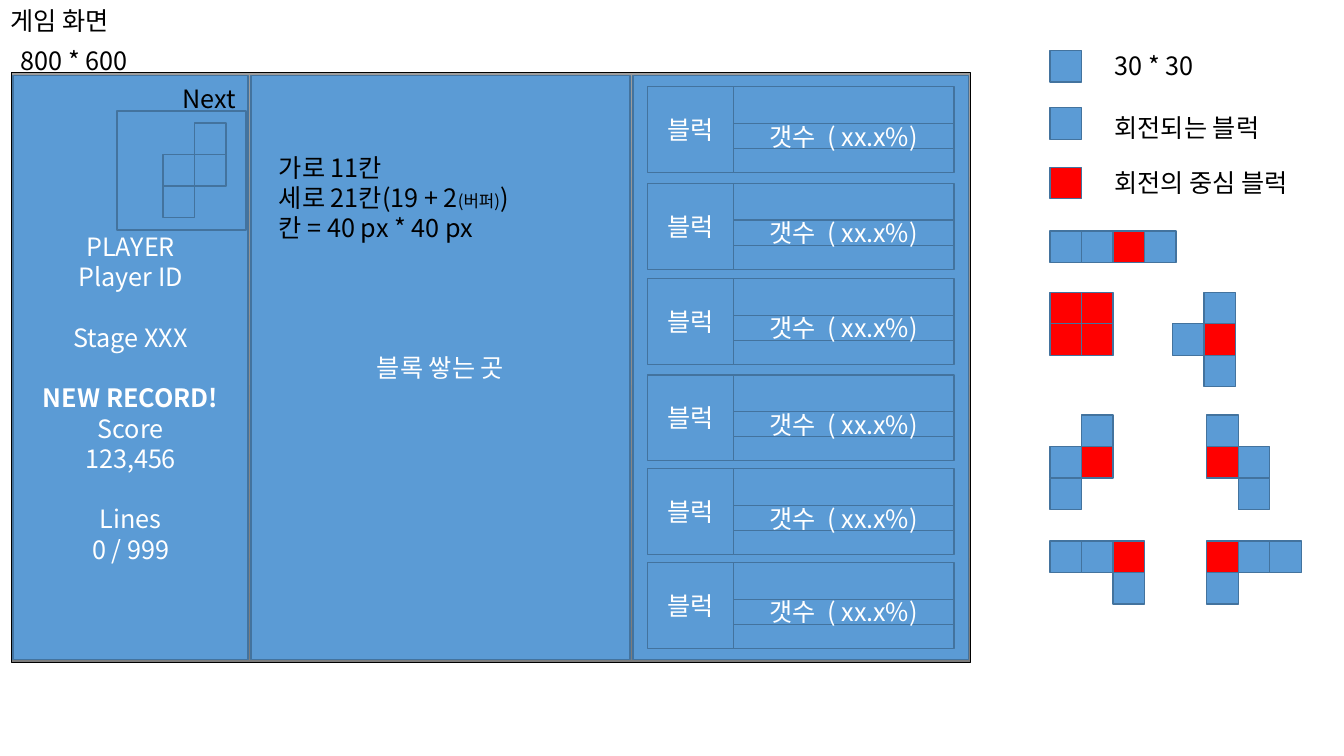
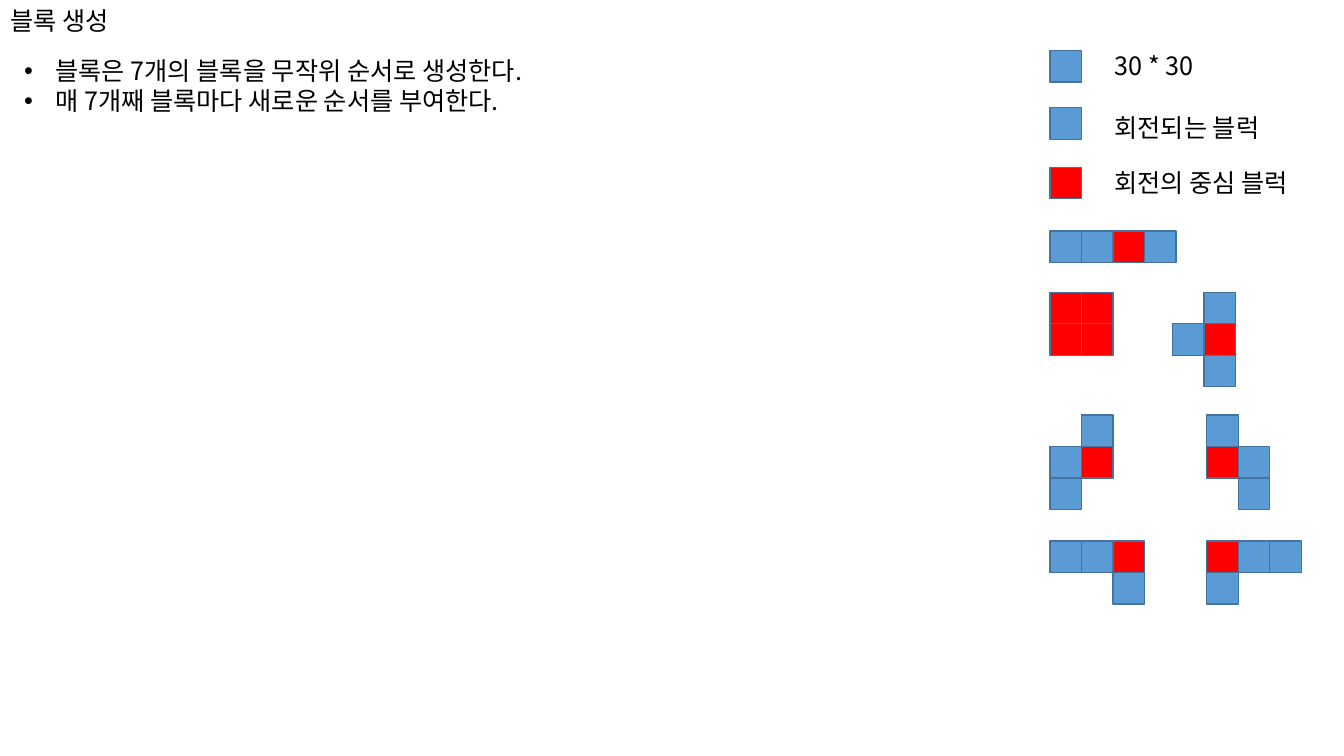
from pptx import Presentation
from pptx.dml.color import RGBColor
from pptx.enum.shapes import MSO_SHAPE
from pptx.enum.text import MSO_ANCHOR, MSO_AUTO_SIZE, PP_ALIGN
from pptx.oxml.ns import qn
from pptx.util import Pt
from lxml.etree import SubElement

BLUE = RGBColor(0x5B, 0x9B, 0xD5)
EDGE = RGBColor(0x43, 0x73, 0x9E)
RED = RGBColor(0xFF, 0x00, 0x00)
BLACK = RGBColor(0x00, 0x00, 0x00)
WHITE = RGBColor(0xFF, 0xFF, 0xFF)
LIGHT_GRAY = RGBColor(0x9D, 0x9D, 0x9D)
DARK_GRAY = RGBColor(0x7C, 0x7C, 0x7C)

FONT = "Noto Sans CJK KR"
SIZE, SMALL = 18, 12
LINE = 21.6
CELL = 22.5
CELL_COLORS = {"B": BLUE, "R": RED}

TITLES = ["게임 화면", "블록 생성"]
RULES = ["블록은 7개의 블록을 무작위 순서로 생성한다.",
         "매 7개째 블록마다 새로운 순서를 부여한다."]

# Legend: cell kind, cell top, label, label top, label width
LEGEND_LEFT, LABEL_LEFT = 750, 789
LEGEND = [("B", 36, "30 * 30", 32.4, 75),
          ("B", 77, "회전되는 블럭", 77, 130),
          ("R", 119.5, "회전의 중심 블럭", 116, 155)]

# Pieces: left, top, rows of cells (R is the centre of rotation)
PIECES = [(750, 165, ["BBRB"]),
          (750, 208.8, ["RR", "RR"]),
          (837.5, 208.8, [" B", "BR", " B"]),
          (750, 296.6, [" B", "BR", "B"]),
          (862, 296.6, ["B", "RB", " B"]),
          (750, 386.6, ["BBR", "  B"]),
          (862, 386.6, ["RBB", "B"])]
NEXT_PIECE = (116.6, 87.8, [" B", "BB", "B"])

BOARD = (7.9, 51.8, 685.4, 421.2)
PANEL_TOP, PANEL_HEIGHT = 54, 417
STATUS_PANEL, FIELD_PANEL, COUNT_PANEL = [
    (left, PANEL_TOP, width, PANEL_HEIGHT)
    for left, width in [(9.4, 167.8), (179.3, 270.7), (452.2, 239.8)]]
NEXT_FRAME = (83.5, 79.2, 92.2, 85)

# Status groups stand one line apart
STATUS = [["PLAYER", "Player ID"], ["Stage XXX"],
          ["NEW RECORD!", "Score", "123,456"], ["Lines", "0 / 999"]]
BOLD_STATUS = "NEW RECORD!"
FIELD_NOTES = [["가로 11칸"],
               ["세로 21칸(19 + 2", ("(버퍼)", SMALL), ")"],
               ["칸 = 40 px * 40 px"]]
COUNT_TOPS = [62, 131, 199, 267.8, 334.8, 401.8]
COUNT_LEFT, COUNT_SIDE, COUNT_WIDTH = 462.4, 61.4, 157.7
BAR_OFFSET, BAR_HEIGHT = 26.2, 18


def points(*values):
    return [Pt(value) for value in values]


def apply(target, **values):
    for name, value in values.items():
        setattr(target, name, value)


def write(frame, paragraphs, color=BLACK, align=PP_ALIGN.LEFT):
    """Fill a frame; each paragraph is a list of strings or (string, size)."""
    for index, spans in enumerate(paragraphs):
        para = frame.add_paragraph() if index else frame.paragraphs[0]
        apply(para, alignment=align, line_spacing=Pt(LINE))
        for item in spans:
            words, size = item if isinstance(item, tuple) else (item, SIZE)
            span = para.add_run()
            span.text = words
            apply(span.font, name=FONT, size=Pt(size))
            span.font.color.rgb = color
            SubElement(span.font._element, qn("a:ea"), typeface=FONT)
    return frame


def add_box(shapes, place, fill=BLUE, text=None):
    box = shapes.add_shape(MSO_SHAPE.RECTANGLE, *points(*place))
    box.shadow.inherit = False
    box.fill.solid()
    box.fill.fore_color.rgb = fill
    box.line.color.rgb = EDGE
    box.line.width = Pt(1)
    box.text_frame.vertical_anchor = MSO_ANCHOR.MIDDLE
    if text:
        write(box.text_frame, [[text]], WHITE, PP_ALIGN.CENTER)
    return box


def add_text(page, place, paragraphs, wrap=False, align=PP_ALIGN.LEFT):
    frame = page.shapes.add_textbox(*points(*place)).text_frame
    apply(frame, word_wrap=wrap, auto_size=MSO_AUTO_SIZE.SHAPE_TO_FIT_TEXT)
    return write(frame, paragraphs, align=align)


def add_piece(page, left, top, rows):
    group = page.shapes.add_group_shape()
    for row, kinds in enumerate(rows):
        for column, kind in enumerate(kinds):
            if kind in CELL_COLORS:
                place = (left + column * CELL, top + row * CELL, CELL, CELL)
                add_box(group.shapes, place, CELL_COLORS[kind])


def add_page(deck, title):
    page = deck.slides.add_slide(deck.slide_layouts[5])
    holder = page.shapes.title
    left, top, width, height = points(0, 0, 93.6, 28.8)
    apply(holder, left=left, top=top, width=width, height=height)
    apply(holder.text_frame, word_wrap=False, vertical_anchor=MSO_ANCHOR.TOP,
          auto_size=MSO_AUTO_SIZE.SHAPE_TO_FIT_TEXT)
    write(holder.text_frame, [[title]])
    return page


def add_key(page):
    """Legend and the seven pieces, on the right of each slide."""
    for piece in PIECES:
        add_piece(page, *piece)
    for kind, top, label, label_top, width in LEGEND:
        add_box(page.shapes, (LEGEND_LEFT, top, CELL, CELL), CELL_COLORS[kind])
        add_text(page, (LABEL_LEFT, label_top, width, 28.8), [[label]])


def add_board(page):
    board = add_box(page.shapes, BOARD)
    board.fill.gradient()
    board.fill.gradient_angle = 270
    for stop, color in zip(board.fill.gradient_stops, (LIGHT_GRAY, DARK_GRAY)):
        stop.color.rgb = color
    board.line.color.rgb = BLACK
    board.line.width = Pt(0.5)
    add_text(page, (7.9, 28.8, 102.2, 28.8), [["800 * 600"]], wrap=True)


def add_status(page):
    frame = add_box(page.shapes, STATUS_PANEL).text_frame
    frame.margin_top = Pt(3.6 + 2 * LINE)
    lines = [[line] for group in STATUS for line in group]
    write(frame, lines, WHITE, PP_ALIGN.CENTER)
    group_starts = [group[0] for group in STATUS[1:]]
    for para in frame.paragraphs:
        if para.text in group_starts:
            para.space_before = Pt(LINE)
        para.runs[0].font.bold = para.text == BOLD_STATUS
    add_box(page.shapes, NEXT_FRAME)
    add_text(page, (123.1, 56.2, 52.6, 28.8), [["Next"]], align=PP_ALIGN.CENTER)
    add_piece(page, *NEXT_PIECE)


def add_counts(page):
    add_box(page.shapes, COUNT_PANEL)
    bar_left = COUNT_LEFT + COUNT_SIDE
    for top in COUNT_TOPS:
        shapes = page.shapes.add_group_shape().shapes
        add_box(shapes, (COUNT_LEFT, top, COUNT_SIDE, COUNT_SIDE), text="블럭")
        add_box(shapes, (bar_left, top, COUNT_WIDTH, COUNT_SIDE))
        add_box(shapes, (bar_left, top + BAR_OFFSET, COUNT_WIDTH, BAR_HEIGHT),
                text="갯수  ( xx.x%)")


def add_rules(page):
    frame = add_text(page, (10.1, 36, 716.4, 51.1),
                     [[rule] for rule in RULES], wrap=True)
    for para in frame.paragraphs:
        properties = para._p.get_or_add_pPr()
        properties.set("marL", str(Pt(CELL)))
        properties.set("indent", str(-Pt(CELL)))
        SubElement(properties, qn("a:buFont"), typeface="Arial")
        SubElement(properties, qn("a:buChar"), char="•")


def main():
    deck = Presentation()
    apply(deck, slide_width=Pt(960), slide_height=Pt(540))
    screen, creation = [add_page(deck, title) for title in TITLES]

    add_board(screen)
    add_status(screen)
    add_box(screen.shapes, FIELD_PANEL, text="블록 쌓는 곳")
    add_text(screen, (192.2, 105.1, 198.7, 72.7), FIELD_NOTES, wrap=True)
    add_counts(screen)

    add_rules(creation)
    for page in (screen, creation):
        add_key(page)
    deck.save("out.pptx")


if __name__ == "__main__":
    main()
